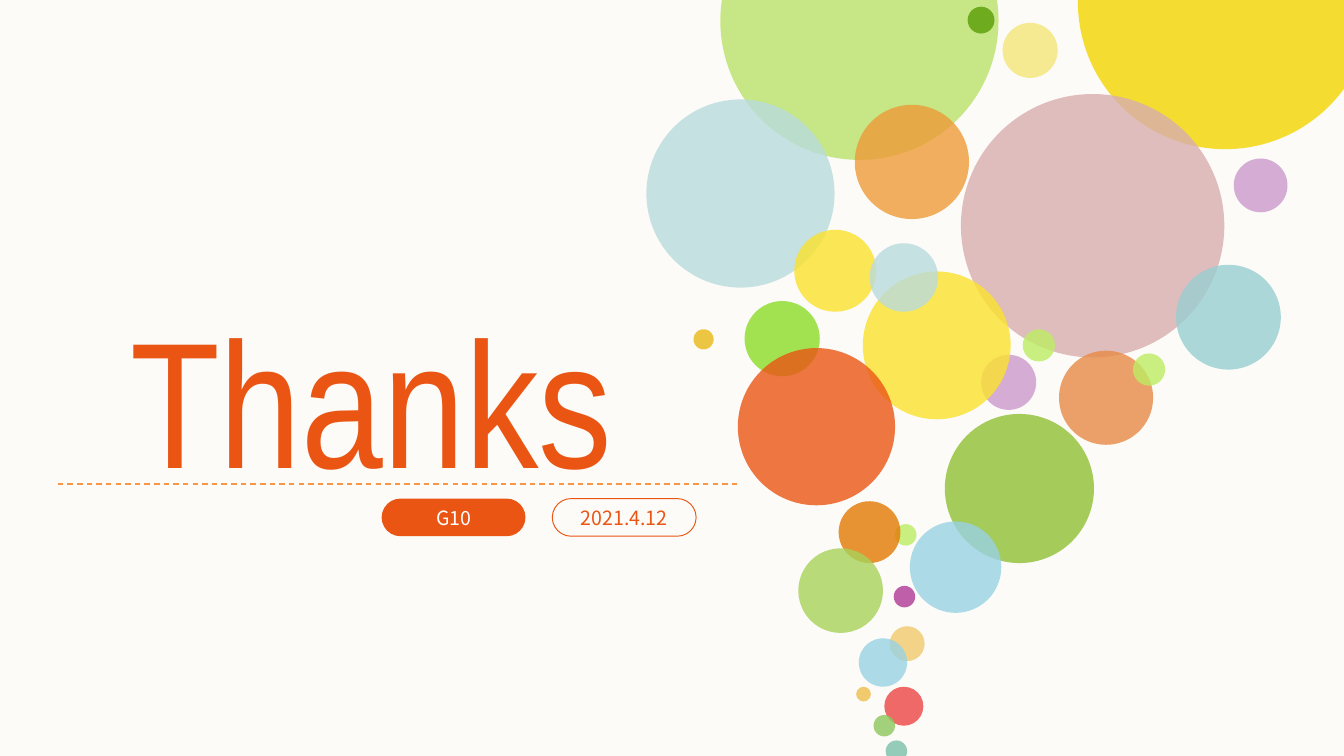
from lxml.etree import SubElement
from pptx import Presentation
from pptx.dml.color import RGBColor
from pptx.enum.dml import MSO_LINE
from pptx.enum.shapes import MSO_CONNECTOR, MSO_SHAPE
from pptx.enum.text import MSO_ANCHOR, MSO_AUTO_SIZE, PP_ALIGN
from pptx.oxml.ns import qn
from pptx.util import Inches, Pt

HUES = {
    "paper": "FCFBF7", "white": "FFFFFF", "flame": "EA5514", "dash": "F79646",
    "lime": "BAE36B", "leaf": "6EAB1F", "mist": "B9DBDD", "apricot": "ED9B38",
    "cream": "F5EA91", "sun": "F4D500", "rose": "D8AEAF", "teal": "99CED2",
    "lilac": "CB99CC", "copper": "E78A47", "moss": "A5CB5A", "mint": "BDED63",
    "lemon": "FBE22D", "grass": "8CDB27", "gold": "E9B915", "plum": "B03896",
    "sand": "F0CA6C", "sea": "7BBFAA", "coral": "EB4544", "fern": "8DC65B",
    "sky": "98D2E3", "amber": "E27902", "olive": "A9D25A",
}
HUES = {name: RGBColor.from_string(code) for name, code in HUES.items()}

# Bubbles from back to front: left, top, diameter, colour, opacity in percent
BUBBLES = [
    (5.36, -0.88, 2.07, "lime", 80),
    (7.2, 0.05, 0.2, "leaf", 100),
    (4.81, 0.74, 1.4, "mist", 80),
    (6.36, 0.78, 0.85, "apricot", 80),
    (7.46, 0.17, 0.41, "cream", 100),
    (8.02, -1.08, 2.19, "sun", 80),
    (7.15, 0.7, 1.96, "rose", 80),
    (8.75, 1.97, 0.78, "teal", 80),
    (9.18, 1.18, 0.4, "lilac", 80),
    (7.88, 2.61, 0.7, "copper", 80),
    (7.03, 3.08, 1.11, "moss", 100),
    (8.43, 2.63, 0.24, "mint", 80),
    (7.61, 2.45, 0.24, "mint", 80),
    (7.3, 2.64, 0.41, "lilac", 80),
    (6.42, 2.02, 1.1, "lemon", 80),
    (5.91, 1.71, 0.61, "lemon", 80),
    (5.54, 2.24, 0.56, "grass", 80),
    (5.16, 2.45, 0.15, "gold", 80),
    (6.66, 3.9, 0.16, "mint", 80),
    (6.65, 4.36, 0.16, "plum", 80),
    (6.62, 4.66, 0.26, "sand", 80),
    (6.37, 5.11, 0.11, "sand", 100),
    (6.59, 5.51, 0.16, "sea", 80),
    (6.58, 5.11, 0.29, "coral", 80),
    (6.5, 5.32, 0.16, "fern", 80),
    (6.39, 4.75, 0.36, "sky", 80),
    (6.47, 1.81, 0.51, "mist", 80),
    (6.77, 3.88, 0.68, "sky", 80),
    (6.24, 3.73, 0.46, "amber", 80),
    (5.94, 4.08, 0.63, "olive", 80),
    (5.49, 2.59, 1.17, "flame", 80),
]


def add_form(kind, left, top, width, height):
    form = slide.shapes.add_shape(
        kind, Inches(left), Inches(top), Inches(width), Inches(height))
    form.shadow.inherit = False
    form.line.fill.background()
    return form


def set_text(frame, text, font, size, hue, align, format):
    frame.text = text
    for name, value in format.items():
        setattr(frame, name, value)
    line = frame.paragraphs[0]
    line.alignment = align
    style = {"name": font, "size": Pt(size)}
    for name, value in style.items():
        setattr(line.runs[0].font, name, value)
    line.runs[0].font.color.rgb = HUES[hue]


# Slide in 16:9 and its background
deck = Presentation()
deck.slide_width = Inches(10)
deck.slide_height = Inches(10) * 9 // 16
slide = deck.slides.add_slide(deck.slide_layouts[5])
slide.background.fill.solid()
slide.background.fill.fore_color.rgb = HUES["paper"]

# Bubbles
for left, top, size, hue, alpha in BUBBLES:
    bubble = add_form(MSO_SHAPE.OVAL, left, top, size, size)
    bubble.fill.solid()
    bubble.fill.fore_color.rgb = HUES[hue]
    if alpha < 100:
        color = bubble.fill._xPr.find(qn("a:solidFill"))[0]
        SubElement(color, qn("a:alpha"), val=str(alpha * 1000))

# Title
title = slide.shapes.title
place = {"left": 0.97, "top": 2.15, "width": 3.99, "height": 1.62}
for name, value in place.items():
    setattr(title, name, Inches(value))
sides = ["margin_left", "margin_top", "margin_right", "margin_bottom"]
format = dict.fromkeys(sides, 0) | {
    "word_wrap": False,
    "auto_size": MSO_AUTO_SIZE.SHAPE_TO_FIT_TEXT,
    "vertical_anchor": MSO_ANCHOR.TOP,
}
set_text(title.text_frame, "Thanks", "Arial Narrow", 96, "flame",
         PP_ALIGN.LEFT, format)

# Dashed rule
rule = slide.shapes.add_connector(
    MSO_CONNECTOR.STRAIGHT, Inches(0.43), Inches(3.6), Inches(5.49), Inches(3.6))
rule.line.color.rgb = HUES["dash"]
rule.line.width = Pt(0.75)
rule.line.dash_style = MSO_LINE.DASH
SubElement(rule._element.spPr, qn("a:effectLst"))

# Pills: one filled, one outlined
format = {"word_wrap": True, "vertical_anchor": MSO_ANCHOR.MIDDLE}
for left, text, hue, full in [(2.84, "G10", "white", True),
                              (4.11, "2021.4.12", "flame", False)]:
    pill = add_form(MSO_SHAPE.ROUNDED_RECTANGLE, left, 3.71, 1.07, 0.28)
    pill.adjustments[0] = 0.5
    if full:
        pill.fill.solid()
        pill.fill.fore_color.rgb = HUES["flame"]
    else:
        pill.fill.background()
        pill.line.color.rgb = HUES["flame"]
        pill.line.width = Pt(0.5)
    set_text(pill.text_frame, text, "Noto Sans CJK SC", 10.5, hue,
             PP_ALIGN.CENTER, format)

deck.save("out.pptx")
